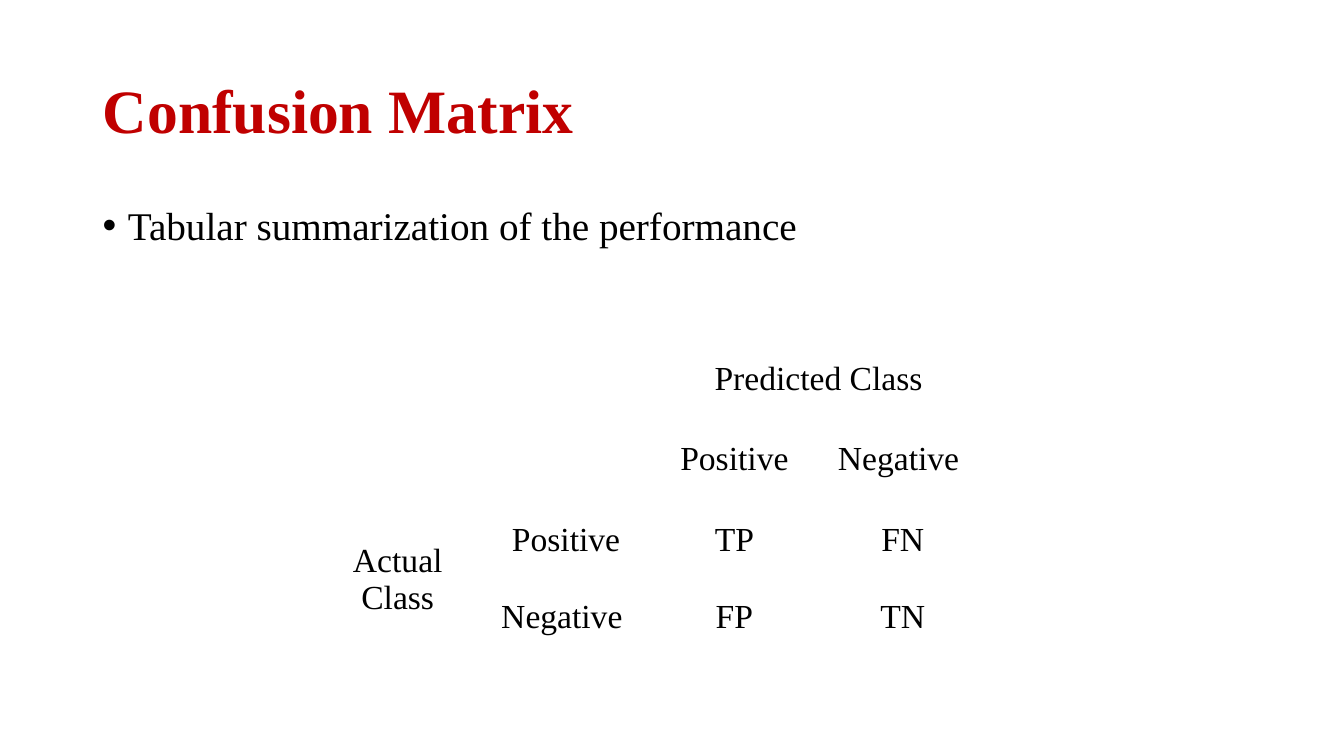
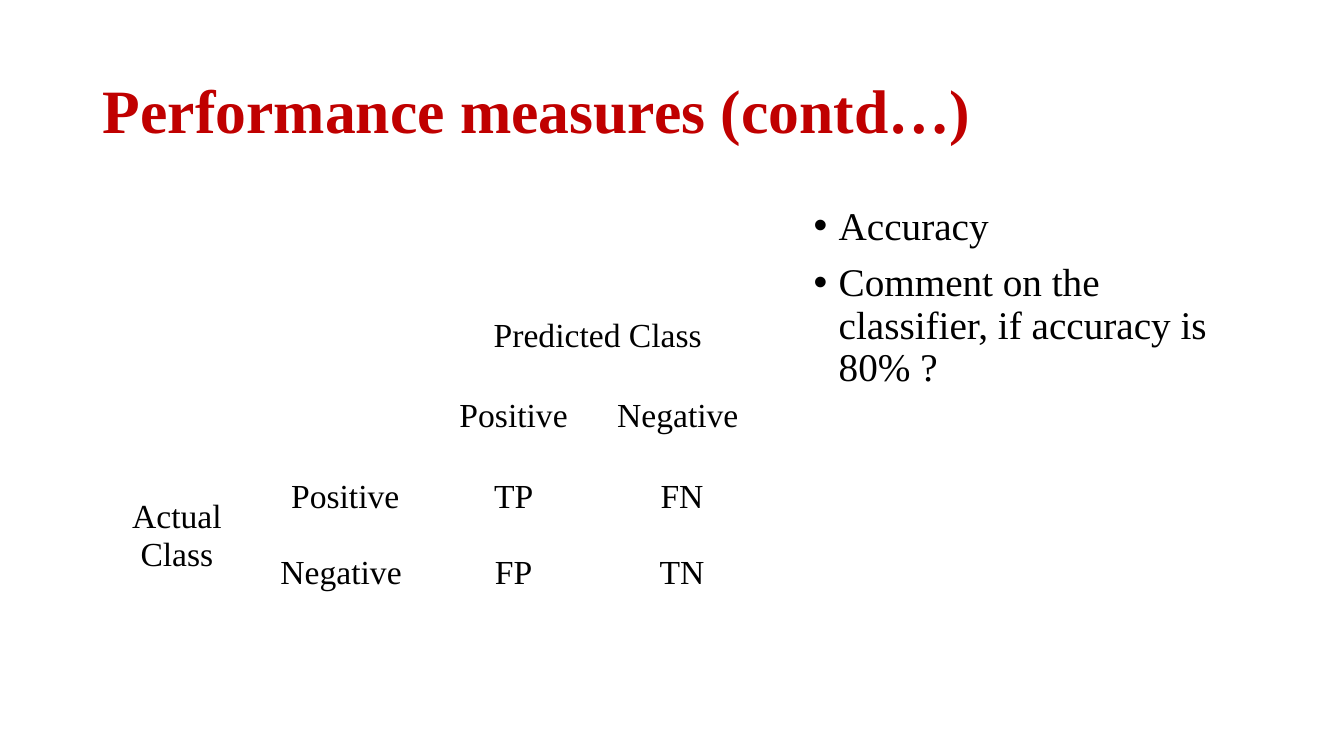
from dataclasses import dataclass

from lxml import etree
from pptx import Presentation
from pptx.dml.color import RGBColor
from pptx.enum.text import MSO_ANCHOR, MSO_AUTO_SIZE, PP_ALIGN
from pptx.oxml.ns import qn
from pptx.util import Inches, Pt

MIDDLE = MSO_ANCHOR.MIDDLE
TOP = MSO_ANCHOR.TOP
NO_AUTOFIT = MSO_AUTO_SIZE.NONE
LEFT = PP_ALIGN.LEFT
CENTER = PP_ALIGN.CENTER


@dataclass(frozen=True)
class Theme:
    font: str = "Times New Roman"
    title_color: RGBColor = RGBColor(0xC0, 0x00, 0x00)
    text_color: RGBColor = RGBColor(0x00, 0x00, 0x00)
    title_size: Pt = Pt(44)
    body_size: Pt = Pt(28)
    table_size: Pt = Pt(24)


THEME = Theme()
TITLE_FONT = {"name": THEME.font, "size": THEME.title_size, "bold": True}
BODY_FONT = {"name": THEME.font, "size": THEME.body_size, "bold": False}
TABLE_FONT = {"name": THEME.font, "size": THEME.table_size, "bold": False}
TEXT_FRAME_FORMAT = {
    "word_wrap": True,
    "auto_size": NO_AUTOFIT,
    "margin_left": Inches(0.1),
    "margin_right": Inches(0.1),
    "margin_top": Inches(0.05),
    "margin_bottom": Inches(0.05),
}
BULLET_INDENT = Inches(0.25)

COLUMN_WIDTH = 1.67
ROW_HEIGHTS = [0.74, 0.86, 0.74, 0.78]
MATRIX = [
    ["", "", "Predicted Class", ""],
    ["", "", "Positive", "Negative "],
    ["Actual Class", "Positive", "TP", "FN"],
    ["", "Negative ", "FP", "TN"],
]
MERGES = [((0, 2), (0, 3)), ((2, 0), (3, 0))]

SLIDES = [
    {
        "title": "Confusion Matrix",
        "bullets": ["Tabular summarization of the performance"],
        "body": (0.92, 2, 11.5, 4.76),
        "table": (3.11, 3.39),
    },
    {
        "title": "Performance measures (contd…)",
        "bullets": ["Accuracy", "Comment on the classifier, if accuracy is 80% ?"],
        "body": (7.97, 2, 4.45, 4.76),
        "table": (0.92, 2.96),
    },
]


def apply_format(target, values):
    for name, value in values.items():
        setattr(target, name, value)


def format_paragraph(paragraph, font, color, alignment, line_spacing):
    apply_format(paragraph, {"alignment": alignment, "line_spacing": line_spacing})
    apply_format(paragraph.font, font)
    paragraph.font.color.rgb = color


presentation = Presentation()
presentation.slide_width = Inches(13.33)
presentation.slide_height = Inches(7.5)
title_only_layout = presentation.slide_layouts[5]

for content in SLIDES:
    slide = presentation.slides.add_slide(title_only_layout)

    title = slide.shapes.title
    apply_format(title, {
        "left": Inches(0.92),
        "top": Inches(0.4),
        "width": Inches(11.5),
        "height": Inches(1.45),
    })
    apply_format(title.text_frame, {**TEXT_FRAME_FORMAT, "vertical_anchor": MIDDLE})
    title.text_frame.text = content["title"]
    format_paragraph(
        title.text_frame.paragraphs[0], TITLE_FONT, THEME.title_color, LEFT, 0.9
    )

    body = slide.shapes.add_textbox(*map(Inches, content["body"]))
    apply_format(body.text_frame, {**TEXT_FRAME_FORMAT, "vertical_anchor": TOP})
    body.text_frame.text = "\n".join(content["bullets"])
    for index, paragraph in enumerate(body.text_frame.paragraphs):
        properties = paragraph._p.get_or_add_pPr()
        properties.set("marL", str(BULLET_INDENT))
        properties.set("indent", str(-BULLET_INDENT))
        etree.SubElement(properties, qn("a:buFont")).set("typeface", "Arial")
        etree.SubElement(properties, qn("a:buChar")).set("char", "•")
        format_paragraph(paragraph, BODY_FONT, THEME.text_color, LEFT, 0.9)
        paragraph.space_before = Pt(10 if index else 0)

    table_left, table_top = content["table"]
    table = slide.shapes.add_table(
        len(MATRIX),
        len(MATRIX[0]),
        Inches(table_left),
        Inches(table_top),
        Inches(COLUMN_WIDTH * len(MATRIX[0])),
        Inches(sum(ROW_HEIGHTS)),
    ).table
    apply_format(table, {"first_row": False, "horz_banding": False})
    for row, height in zip(table.rows, ROW_HEIGHTS):
        row.height = Inches(height)
    for column in table.columns:
        column.width = Inches(COLUMN_WIDTH)
    for first, last in MERGES:
        table.cell(*first).merge(table.cell(*last))
    for row, labels in zip(table.rows, MATRIX):
        for cell, label in zip(row.cells, labels):
            cell.fill.background()
            cell.vertical_anchor = MIDDLE
            if label:
                cell.text = label
                format_paragraph(
                    cell.text_frame.paragraphs[0],
                    TABLE_FONT,
                    THEME.text_color,
                    CENTER,
                    1.0,
                )

presentation.save("out.pptx")
